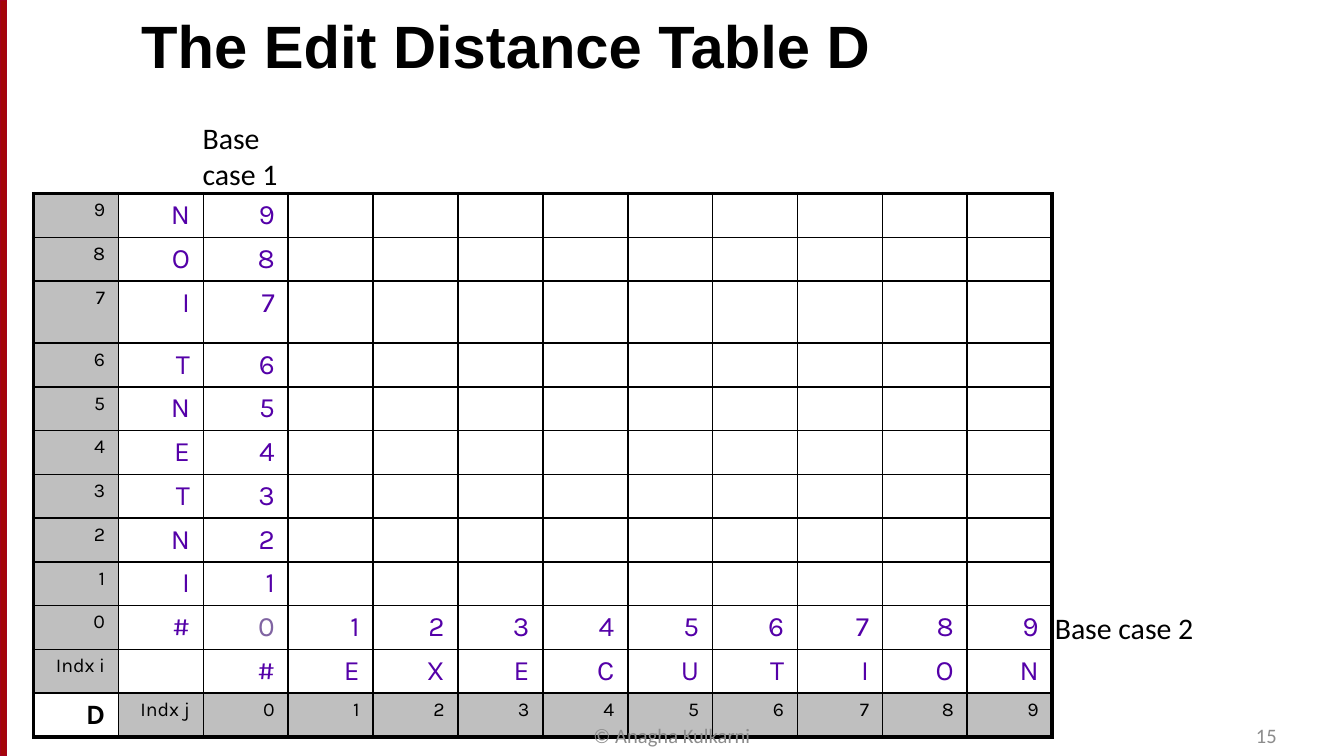
from dataclasses import dataclass

from lxml.etree import SubElement
from pptx import Presentation
from pptx.dml.color import RGBColor as Rgb
from pptx.enum.shapes import MSO_CONNECTOR as Connector, MSO_SHAPE as Shape
from pptx.enum.text import PP_ALIGN as Align
from pptx.oxml.ns import qn
from pptx.util import Pt


@dataclass(frozen=True)
class Theme:
    black: str = "000000"
    purple: str = "5400A8"
    origin: str = "8064A2"
    index_fill: str = "BFBFBF"
    footer: str = "8C8C8C"
    stripe: str = "A40508"
    stripe_edge: str = "A4001D"
    title_font: str = "Arial"
    label_font: str = "Calibri"
    table_font: str = "Karla"
    title_size: float = 32
    label_size: float = 16
    footer_size: float = 11
    value_size: float = 15
    index_size: float = 10.5
    grid_width: float = 1
    frame_width: float = 2.25


THEME = Theme()
SOURCE = "INTENTION"
TARGET = "EXECUTION"
COLUMN_WIDTH = 45.48
ROW_HEIGHT = 23.43
TALL_ROW = 2
TALL_HEIGHT = 33.2


def style(paragraph, font, size, color, bold=False, align=Align.LEFT):
    paragraph.alignment = align
    for run in paragraph.runs:
        run.font.name = font
        run.font.size = Pt(size)
        run.font.bold = bold
        run.font.color.rgb = Rgb.from_string(color)


def add_text(slide, text, box, font, size, color, bold=False,
             align=Align.LEFT, inset=True, wrap=True):
    frame = slide.shapes.add_textbox(*map(Pt, box)).text_frame
    frame.word_wrap = wrap
    if not inset:
        frame.margin_left = frame.margin_right = 0
        frame.margin_top = frame.margin_bottom = 0
    frame.text = text
    style(frame.paragraphs[0], font, size, color, bold, align)


def add_stripe(slide):
    bar = slide.shapes.add_connector(
        Connector.STRAIGHT, Pt(1.6), Pt(0), Pt(1.6), Pt(405))
    bar.line.color.rgb = Rgb.from_string(THEME.stripe)
    bar.line.width = Pt(3.6)
    SubElement(bar._element.spPr, qn("a:effectLst"))

    edge = slide.shapes.add_shape(Shape.RECTANGLE, Pt(0), Pt(0), Pt(3.6), Pt(405))
    edge.shadow.inherit = False
    edge.fill.background()
    edge.line.color.rgb = Rgb.from_string(THEME.stripe_edge)
    edge.line.width = Pt(0.75)


def set_borders(cell, framed_sides):
    properties = cell._tc.get_or_add_tcPr()
    for side in "LRTB":
        width = THEME.frame_width if side in framed_sides else THEME.grid_width
        border = SubElement(properties, qn(f"a:ln{side}"), w=str(Pt(width)))
        fill = SubElement(border, qn("a:solidFill"))
        SubElement(fill, qn("a:srgbClr"), val=THEME.black)


def fill_cell(cell, text, size, color, bold, shaded):
    cell.margin_left = cell.margin_right = Pt(7.2)
    cell.margin_top = cell.margin_bottom = Pt(2.9)
    if shaded:
        cell.fill.solid()
        cell.fill.fore_color.rgb = Rgb.from_string(THEME.index_fill)
    else:
        cell.fill.background()
    paragraph = cell.text_frame.paragraphs[0]
    if text:
        paragraph.text = text
        style(paragraph, THEME.table_font, size, color, bold, Align.RIGHT)
    else:
        SubElement(paragraph._p, qn("a:endParaRPr"), sz=str(int(THEME.index_size * 100)))


def distance_rows():
    indices = [str(j) for j in range(len(TARGET) + 1)]
    blanks = [""] * len(TARGET)
    rows = [[str(i), SOURCE[i - 1], str(i), *blanks]
            for i in range(len(SOURCE), 0, -1)]
    rows.append(["0", "#", *indices])
    rows.append(["Indx i", "", "#", *TARGET])
    rows.append(["D", "Indx j", *indices])
    return rows


def add_distance_table(slide):
    rows = distance_rows()
    last_row, last_column = len(rows) - 1, len(rows[0]) - 1
    base_row = len(SOURCE)
    table = slide.shapes.add_table(
        len(rows), len(rows[0]), Pt(18), Pt(103.7),
        Pt(COLUMN_WIDTH * len(rows[0])),
        Pt(ROW_HEIGHT * last_row + TALL_HEIGHT)).table
    table.first_row = table.horz_banding = False
    for column in table.columns:
        column.width = Pt(COLUMN_WIDTH)

    for r, texts in enumerate(rows):
        table.rows[r].height = Pt(TALL_HEIGHT if r == TALL_ROW else ROW_HEIGHT)
        for c, text in enumerate(texts):
            corner = (r, c) == (last_row, 0)
            index = (c == 0 or r == last_row) and not corner
            if index or corner:
                color = THEME.black
            else:
                color = THEME.origin if (r, c) == (base_row, 2) else THEME.purple
            edges = {"L": c == 0, "R": c == last_column,
                     "T": r == 0, "B": r == last_row}
            cell = table.cell(r, c)
            set_borders(cell, [side for side, outer in edges.items() if outer])
            size = THEME.index_size if index else THEME.value_size
            fill_cell(cell, text, size, color, corner, index)


def main():
    deck = Presentation()
    deck.slide_width, deck.slide_height = Pt(720), Pt(405)
    slide = deck.slides.add_slide(deck.slide_layouts[6])

    add_stripe(slide)
    add_distance_table(slide)
    add_text(slide, "The Edit Distance Table D", (75.6, 5, 569.5, 38.9),
             THEME.title_font, THEME.title_size, THEME.black, bold=True, inset=False)
    label = THEME.label_font, THEME.label_size, THEME.black
    add_text(slide, "Base case 2", (558, 323.3, 90, 26.6), *label, wrap=False)
    add_text(slide, "Base case 1", (101.5, 60.5, 59.8, 46), *label)
    footer = THEME.label_font, THEME.footer_size, THEME.footer
    add_text(slide, "© Anagha Kulkarni", (244.8, 387.4, 230.4, 13.7), *footer,
             align=Align.CENTER, inset=False)
    add_text(slide, "15", (518.4, 387.4, 165.6, 13.7), *footer,
             align=Align.RIGHT, inset=False)

    deck.save("out.pptx")


if __name__ == "__main__":
    main()
